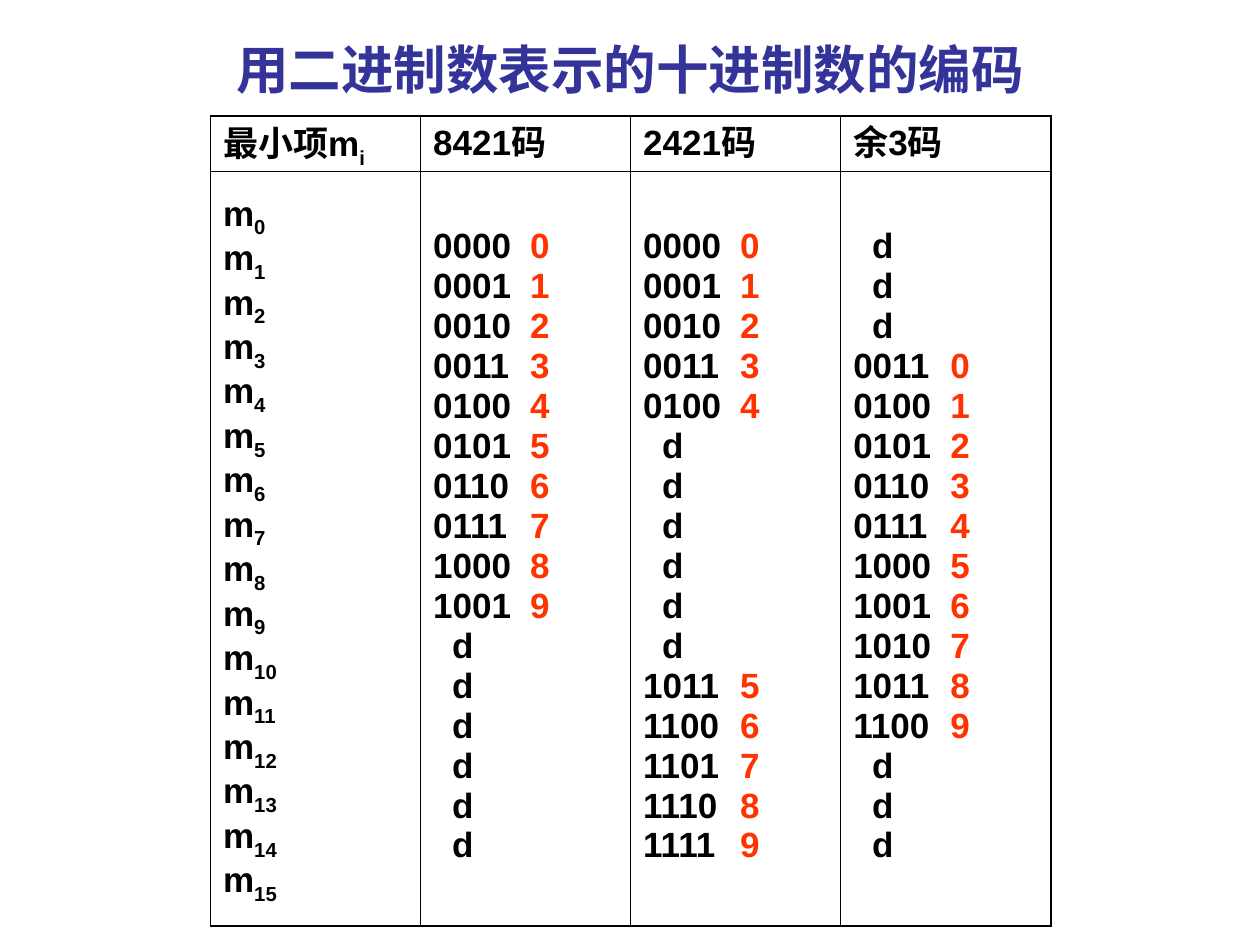
from lxml.etree import SubElement
from pptx import Presentation
from pptx.dml.color import RGBColor
from pptx.enum.text import MSO_ANCHOR, PP_ALIGN
from pptx.oxml.ns import qn
from pptx.util import Inches, Pt

BLACK = RGBColor(0x00, 0x00, 0x00)
WHITE = RGBColor(0xFF, 0xFF, 0xFF)
NAVY = RGBColor(0x33, 0x33, 0x99)
RED = RGBColor(0xFF, 0x33, 0x00)

TERMS = 16
CODES = {
    "8421码": list(range(10)),
    "2421码": [0, 1, 2, 3, 4, 11, 12, 13, 14, 15],
    "余3码": list(range(3, 13)),
}


def add_span(para, text, color=BLACK, size=20, subscript=False):
    span = para.add_run()
    span.text = text
    format_values = {"name": "Arial", "size": Pt(size), "bold": True}
    for name, value in format_values.items():
        setattr(span.font, name, value)
    span.font.color.rgb = color
    if subscript:
        span._r.get_or_add_rPr().set("baseline", "-25000")


def add_para(frame, index):
    para = frame.add_paragraph() if index else frame.paragraphs[0]
    para.line_spacing = 0.8
    para.space_before = Pt(5 if index else 0)
    return para


deck = Presentation()
deck.slide_width = Inches(10)
deck.slide_height = Inches(7.5)
page = deck.slides.add_slide(deck.slide_layouts[6])

title_box = page.shapes.add_textbox(Inches(0.75), Inches(0.17), Inches(8.5), Inches(0.75))
title_frame = title_box.text_frame
title_frame.word_wrap = True
title_frame.vertical_anchor = MSO_ANCHOR.MIDDLE
title_para = title_frame.paragraphs[0]
title_para.alignment = PP_ALIGN.CENTER
add_span(title_para, "用二进制数表示的十进制数的编码", NAVY, 30)

row_heights = [0.44, 5.99]
column_count = len(CODES) + 1
table = page.shapes.add_table(
    2, column_count, Inches(1.67), Inches(0.92), Inches(6.67), Inches(sum(row_heights))
).table
for row, height in zip(table.rows, row_heights):
    row.height = Inches(height)
for column in table.columns:
    column.width = Inches(6.67 / column_count)

for row_index in range(2):
    for column_index in range(column_count):
        cell = table.cell(row_index, column_index)
        cell.vertical_anchor = MSO_ANCHOR.MIDDLE
        outer_sides = {
            "a:lnL": column_index == 0,
            "a:lnR": column_index == column_count - 1,
            "a:lnT": row_index == 0,
            "a:lnB": row_index == 1,
        }
        for side, is_outer in outer_sides.items():
            width = Pt(1.08 if is_outer else 0.45)
            border = SubElement(cell._tc.get_or_add_tcPr(), qn(side), w=str(width))
            border_fill = SubElement(border, qn("a:solidFill"))
            SubElement(border_fill, qn("a:srgbClr"), val=str(BLACK))
        cell.fill.solid()
        cell.fill.fore_color.rgb = WHITE

term_header = add_para(table.cell(0, 0).text_frame, 0)
add_span(term_header, "最小项m")
add_span(term_header, "i", subscript=True)
for term in range(TERMS):
    para = add_para(table.cell(1, 0).text_frame, term)
    add_span(para, "m")
    add_span(para, str(term), subscript=True)

for column_index, (heading, code_terms) in enumerate(CODES.items(), start=1):
    add_span(add_para(table.cell(0, column_index).text_frame, 0), heading)
    for term in range(TERMS):
        para = add_para(table.cell(1, column_index).text_frame, term)
        properties = para._p.get_or_add_pPr()
        if term in code_terms:
            tabs = SubElement(properties, qn("a:tabLst"))
            SubElement(tabs, qn("a:tab"), pos=str(Inches(0.77)), algn="l")
            add_span(para, f"{term:04b}\t")
            add_span(para, str(code_terms.index(term)), RED)
        else:
            properties.set("marL", str(Inches(0.15)))
            add_span(para, "d")

deck.save("out.pptx")
